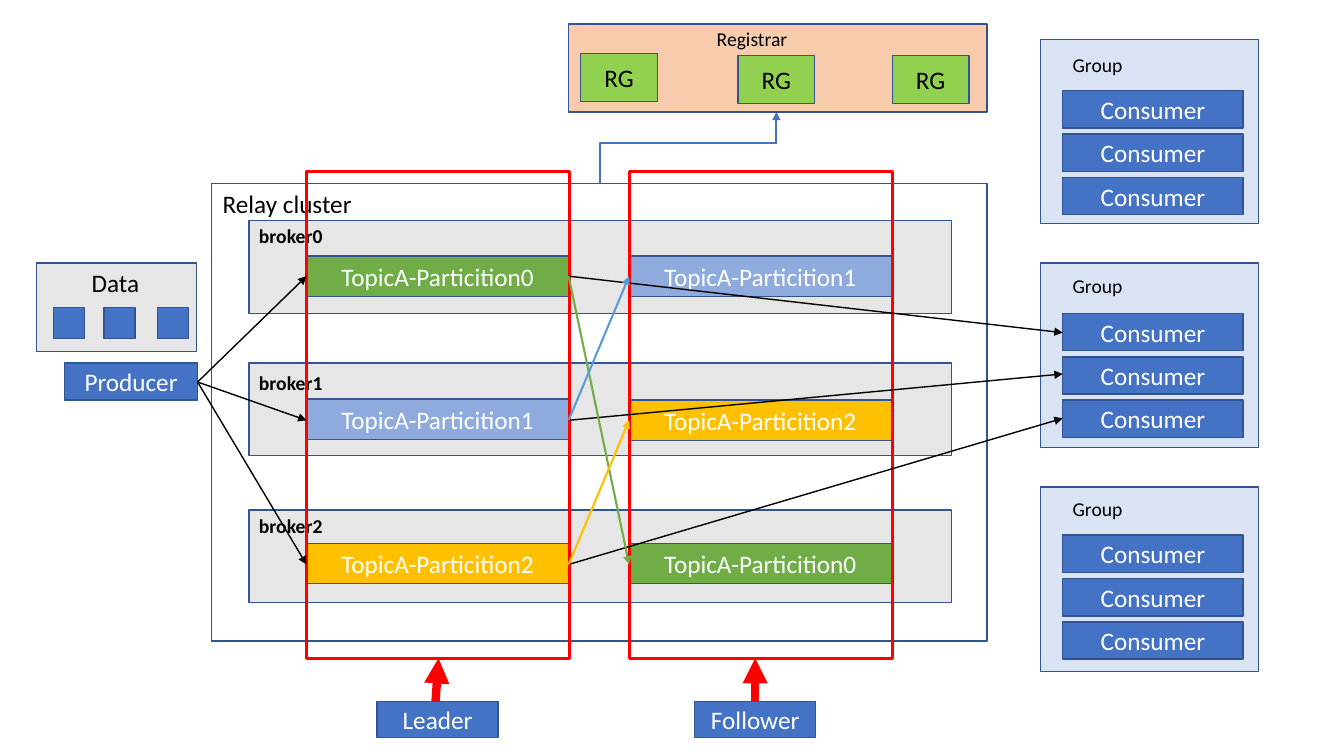
import pptx
import pptx.util
import pptx.dml.color
import pptx.enum.shapes
import pptx.enum.text
import pptx.oxml
import pptx.oxml.ns

Inches, Pt = pptx.util.Inches, pptx.util.Pt
CONNECTOR = pptx.enum.shapes.MSO_CONNECTOR

BLUE, BORDER, GRAY, PALE = "4472C4", "325491", "E7E6E6", "DAE3F3"
GREEN, AMBER, SKY, RED = "70AD47", "FFC000", "8FAADC", "FF0000"
BLACK, WHITE = "000000", "FFFFFF"

# broker name, box top, label top
BROKERS = [("broker0", 2.19, 2.17), ("broker1", 3.6, 3.63), ("broker2", 5.06, 5.05)]
PARTITIONS = {
    0: ("TopicA-Particition0", GREEN),
    1: ("TopicA-Particition1", SKY),
    2: ("TopicA-Particition2", AMBER),
}
# role, column left, arrow start x, arrow end x, label left, (partition, top) per broker
COLUMNS = [
    ("Leader", 3.04, 4.32, 4.35, 3.74, [(0, 2.54), (1, 3.96), (2, 5.39)]),
    ("Follower", 6.24, 7.49, 7.49, 6.89, [(1, 2.54), (2, 3.97), (0, 5.39)]),
]
# group top, label top, first consumer top
GROUPS = [(0.39, 0.48, 0.9), (2.61, 2.67, 3.11), (4.83, 4.88, 5.31)]
CONSUMERS, CONSUMER_STEP = 3, 0.43
REGISTRAR_NODES = [(5.76, 0.53), (7.32, 0.55), (8.85, 0.55)]
DATA_ITEMS = [0.53, 1.03, 1.56]
ROW_MIDDLES = [2.74, 4.17, 5.6]
CONSUMER_MIDDLES = [3.3, 3.71, 4.15]
# leader row, follower row, colour
REPLICATIONS = [(0, 2, GREEN), (1, 0, "5B9BD5"), (2, 1, AMBER)]
PRODUCER_EXIT = (1.96, 3.79)
LEADER_EDGE, FOLLOWER_EDGE, CONSUMER_EDGE = 5.64, 6.24, 10.54


def rgb(color):
    """Turn a hex string into a colour."""
    return pptx.dml.color.RGBColor.from_string(color)


def add_run(p, text, size, color, bold=False):
    """Add one formatted run to a paragraph."""
    r = p.add_run()
    r.text = text
    r.font.name = "Calibri"
    r.font.size = Pt(size)
    r.font.bold = bold
    r.font.color.rgb = rgb(color)


def add_box(x, y, w, h, fill=None, text="", color=WHITE, line=BORDER, weight=1):
    """Draw a bordered rectangle, with centred text if given."""
    sp = s.shapes.add_shape(pptx.enum.shapes.MSO_SHAPE.RECTANGLE,
                            Inches(x), Inches(y), Inches(w), Inches(h))
    sp.shadow.inherit = False
    if fill:
        sp.fill.solid()
        sp.fill.fore_color.rgb = rgb(fill)
    else:
        sp.fill.background()
    sp.line.color.rgb = rgb(line)
    sp.line.width = Pt(weight)
    if text:
        tf = sp.text_frame
        tf.word_wrap = True
        tf.vertical_anchor = pptx.enum.text.MSO_ANCHOR.MIDDLE
        p = tf.paragraphs[0]
        p.alignment = pptx.enum.text.PP_ALIGN.CENTER
        add_run(p, text, 18, color)


def add_label(x, y, w, text, size=14, bold=False):
    """Place a line of black text."""
    height = 0.4 if size == 18 else 0.34
    tf = s.shapes.add_textbox(Inches(x), Inches(y), Inches(w), Inches(height)).text_frame
    tf.word_wrap = True
    add_run(tf.paragraphs[0], text, size, BLACK, bold)


def add_line(start, end, color=BLACK, weight=1, arrow=True, kind=CONNECTOR.STRAIGHT):
    """Draw a connector, by default with an arrowhead at its end."""
    line = s.shapes.add_connector(kind, *[Inches(v) for v in (*start, *end)])
    line.line.color.rgb = rgb(color)
    line.line.width = Pt(weight)
    namespace = pptx.oxml.ns.nsdecls("a")
    spPr = line._element.spPr
    if arrow:
        spPr.find(pptx.oxml.ns.qn("a:ln")).append(
            pptx.oxml.parse_xml(f'<a:tailEnd {namespace} type="triangle"/>'))
    spPr.append(pptx.oxml.parse_xml(f"<a:effectLst {namespace}/>"))
    return line


def add_cluster():
    """Draw the cluster, its brokers and the partition columns."""
    add_box(2.1, 1.82, 7.69, 4.54, WHITE)
    add_label(2.11, 1.82, 1.55, "Relay cluster", 18)
    for name, top, label_top in BROKERS:
        add_box(2.47, top, 6.97, 0.92, GRAY)
        add_label(2.47, label_top, 1.14, name, bold=True)
    for role, left, start_x, end_x, label_left, cells in COLUMNS:
        for number, top in cells:
            text, fill = PARTITIONS[number]
            add_box(left, top, 2.6, 0.4, fill, text)
        add_box(left, 1.7, 2.61, 4.83, line=RED, weight=2.25)
        add_line((start_x, 6.96), (end_x, 6.53), RED, 6)
        add_box(label_left, 6.96, 1.2, 0.36, BLUE, role)


def add_groups():
    """Draw the consumer groups."""
    for top, label_top, first in GROUPS:
        add_box(10.32, top, 2.16, 1.83, PALE)
        add_label(CONSUMER_EDGE, label_top, 1.1, "Group")
        for i in range(CONSUMERS):
            add_box(CONSUMER_EDGE, first + i * CONSUMER_STEP, 1.79, 0.37, BLUE, "Consumer")


def add_registrar():
    """Draw the coordination service and its link from the cluster."""
    elbow = add_line((7.03, 2.5), (6.63, 0.74), BLUE, 1.5, False, CONNECTOR.ELBOW)
    spPr = elbow._element.spPr
    spPr.find(pptx.oxml.ns.qn("a:prstGeom")).set("prst", "bentConnector2")
    spPr.find(pptx.oxml.ns.qn("a:xfrm")).set("rot", "5400000")
    add_line((7.7, 1.42), (7.7, 1.11), BLUE, 1.5)
    add_box(5.64, 0.24, 4.15, 0.87, "F8CBAD")
    add_label(7.01, 0.22, 1.05, "Registrar")
    for left, top in REGISTRAR_NODES:
        add_box(left, top, 0.76, 0.48, "92D050", "RG", BLACK)


def add_producer():
    """Draw the producer and its data."""
    add_box(0.64, 3.6, 1.32, 0.37, BLUE, "Producer")
    add_box(0.36, 2.61, 1.59, 0.88, GRAY)
    for left in DATA_ITEMS:
        add_box(left, 3.05, 0.31, 0.31, BLUE)
    add_label(0.81, 2.6, 0.68, "Data", 18)


def add_flows():
    """Draw the produce, consume and replication arrows."""
    for middle, consumer in zip(ROW_MIDDLES, CONSUMER_MIDDLES):
        add_line(PRODUCER_EXIT, (3.04, middle))
        add_line((LEADER_EDGE, middle), (CONSUMER_EDGE, consumer))
    for leader, follower, color in REPLICATIONS:
        add_line((LEADER_EDGE, ROW_MIDDLES[leader]),
                 (FOLLOWER_EDGE, ROW_MIDDLES[follower]), color, 1.5)


prs = pptx.Presentation()
prs.slide_width, prs.slide_height = Inches(13.33), Inches(7.5)
s = prs.slides.add_slide(prs.slide_layouts[6])
add_cluster()
add_groups()
add_registrar()
add_producer()
add_flows()
prs.save("out.pptx")
